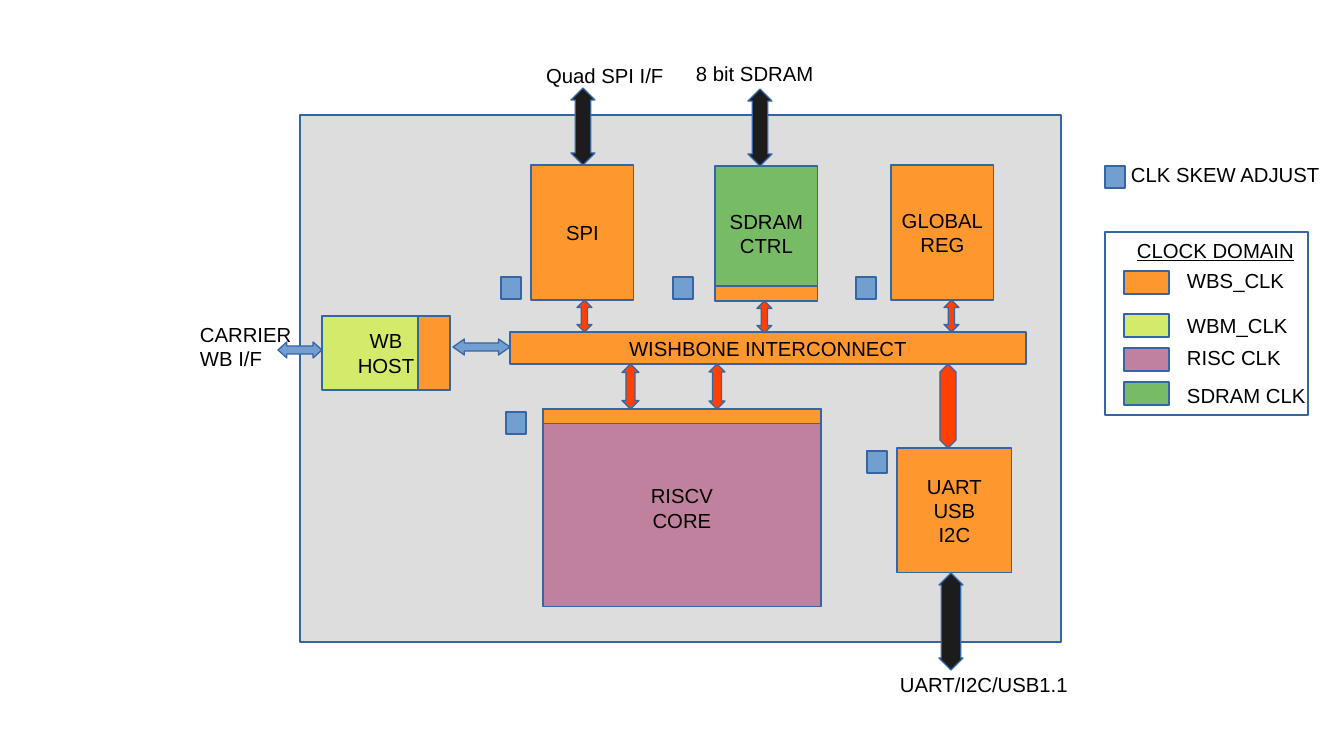
from pptx import Presentation
from pptx.dml.color import RGBColor
from pptx.enum.shapes import MSO_SHAPE
from pptx.enum.text import MSO_ANCHOR, PP_ALIGN
from pptx.util import Emu, Pt

SCALE = 914400 / 122
ORANGE, GREEN, LIME, PURPLE = "FF972F", "77BC65", "D4EA6B", "BF819E"
BLUE, RED, BLACK, EDGE = "729FCF", "FF4000", "1C1C1C", "3465A4"

PANELS = [
    ((1105, 232, 203, 183), "FFFFFF"),
    ((300, 115, 761, 527), "DDDDDD"),
]
BLOCKS = [
    ((531, 165, 103, 135), ORANGE, ["SPI"]),
    ((715, 166, 103, 135), GREEN, ["SDRAM", "CTRL"]),
    ((891, 165, 103, 135), ORANGE, ["GLOBAL", "REG"]),
    ((510, 332, 516, 32), ORANGE, ["WISHBONE INTERCONNECT"]),
    ((543, 409, 278, 198), PURPLE, ["RISCV", "CORE"]),
    ((897, 448, 115, 125), ORANGE, ["UART", "USB", "I2C"]),
    ((322, 316, 128, 74), LIME, ["WB", "HOST"]),
]
STRIPS = [(715, 286, 103, 15), (543, 409, 278, 15), (418, 316, 32, 74)]
ARROWS = [
    ((577, 300, 15, 32), RED),
    ((757, 301, 15, 32), RED),
    ((944, 300, 15, 32), RED),
    ((622, 364, 17, 45), RED),
    ((709, 364, 16, 45), RED),
    ((940, 364, 16, 84), RED),
    ((453, 339, 57, 16), BLUE),
    ((278, 342, 44, 16), BLUE),
    ((571, 88, 24, 77), BLACK),
    ((748, 89, 24, 77), BLACK),
    ((939, 573, 24, 97), BLACK),
]
SKEWS = [(501, 277), (673, 277), (856, 277), (506, 412), (867, 451), (1105, 166)]
LEGEND = [
    ("WBS_CLK", ORANGE, 271, 262),
    ("WBM_CLK", LIME, 314, 307),
    ("RISC CLK", PURPLE, 348, 339),
    ("SDRAM CLK", GREEN, 382, 377),
]
LABELS = [
    ((188, 316, 122, 57), ["CARRIER", "WB I/F"], False),
    ((534, 57, 143, 35), ["Quad SPI I/F"], False),
    ((684, 55, 156, 35), ["8 bit SDRAM"], False),
    ((888, 666, 193, 35), ["UART/I2C/USB1.1"], False),
    ((1125, 232, 182, 35), ["CLOCK DOMAIN"], True),
    ((1119, 156, 220, 35), ["CLK SKEW ADJUST"], False),
]


def px(n):
    return Emu(round(n * SCALE))


def tint(code):
    return RGBColor.from_string(code)


def write(frame, lines, align, under=False):
    for i, line in enumerate(lines):
        para = frame.paragraphs[0] if i == 0 else frame.add_paragraph()
        para.alignment = align
        run = para.add_run()
        run.text = line
        run.font.name = "Arial"
        run.font.size = Pt(12)
        run.font.color.rgb = tint("000000")
        if under:
            run.font.underline = True


def draw(box, fill, kind=MSO_SHAPE.RECTANGLE):
    shape = slide.shapes.add_shape(kind, *map(px, box))
    shape.shadow.inherit = False
    shape.fill.solid()
    shape.fill.fore_color.rgb = tint(fill)
    shape.line.color.rgb = tint(EDGE)
    shape.line.width = Pt(0.75)
    return shape


def block(box, fill, lines):
    frame = draw(box, fill).text_frame
    frame.word_wrap = False
    frame.vertical_anchor = MSO_ANCHOR.MIDDLE
    write(frame, lines, PP_ALIGN.CENTER)


def arrow(box, fill):
    wide, high = box[2:]
    kind = MSO_SHAPE.UP_DOWN_ARROW if high > wide else MSO_SHAPE.LEFT_RIGHT_ARROW
    shape = draw(box, fill, kind)
    shape.adjustments[0] = 0.5
    shape.adjustments[1] = 0.2 * max(wide, high) / min(wide, high)


def label(box, lines, under=False):
    frame = slide.shapes.add_textbox(*map(px, box)).text_frame
    frame.word_wrap = True
    frame.margin_right = 0
    write(frame, lines, PP_ALIGN.LEFT, under)


deck = Presentation()
deck.slide_width, deck.slide_height = px(1344), px(756)
slide = deck.slides.add_slide(deck.slide_layouts[6])

for box, fill in PANELS:
    draw(box, fill)
for box, fill, lines in BLOCKS:
    block(box, fill, lines)
for box in STRIPS:
    draw(box, ORANGE)
for box, fill in ARROWS:
    arrow(box, fill)
for left, top in SKEWS:
    draw((left, top, 20, 22), BLUE)
for name, fill, top, base in LEGEND:
    draw((1124, top, 45, 23), fill)
    label((1175, base, 143, 35), [name])
for box, lines, under in LABELS:
    label(box, lines, under)

deck.save("out.pptx")
